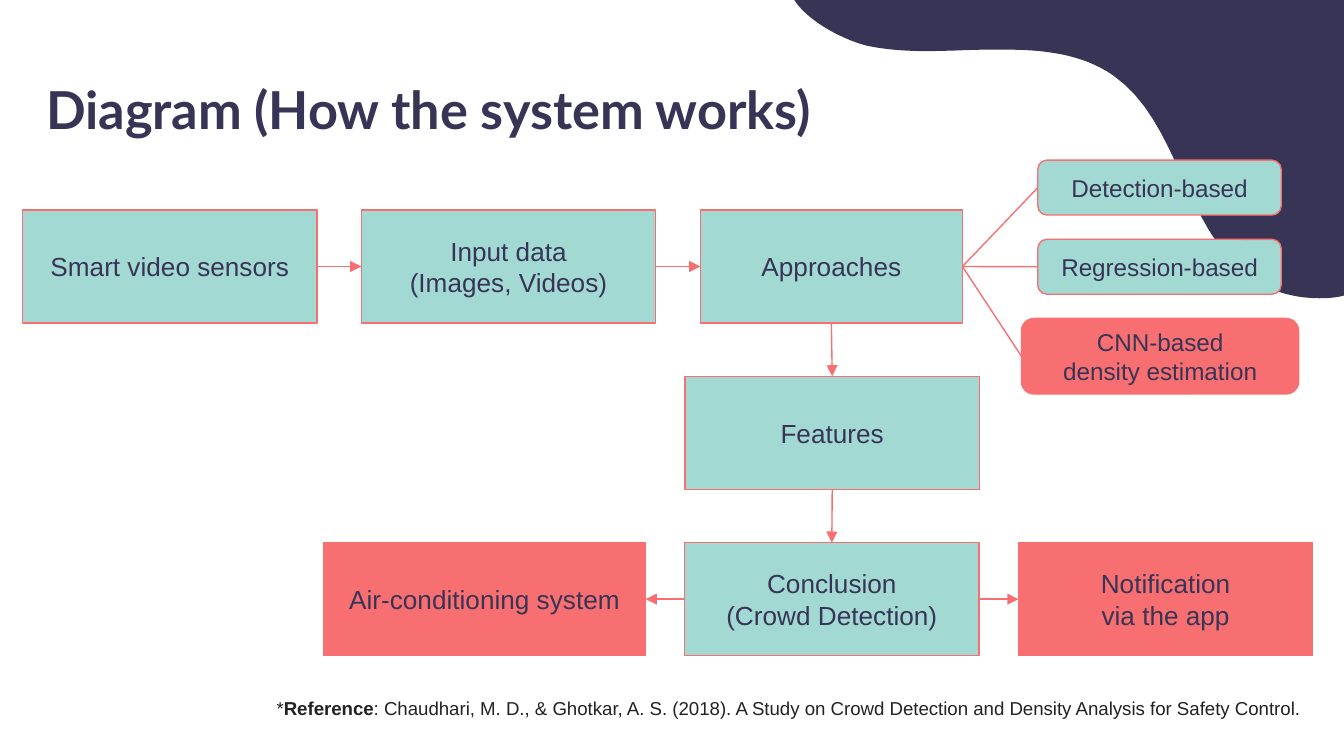
from dataclasses import dataclass
from typing import Optional

from lxml import etree
from pptx import Presentation
from pptx.dml.color import RGBColor
from pptx.enum import shapes, text
from pptx.oxml.ns import qn
from pptx.util import Pt


@dataclass(frozen=True)
class Theme:
    navy: str = "383455"
    teal: str = "A2DAD3"
    coral: str = "F76F70"
    ink: str = "222222"
    title_font: str = "Lato"
    body_font: str = "Arial"
    title_size: float = 28
    box_size: float = 14
    pill_size: float = 13
    note_size: float = 10
    line_width: float = 0.75
    inset: float = 7.2


@dataclass(frozen=True)
class Node:
    name: str
    lines: tuple[str, ...]
    left: float
    top: float
    width: float = 157.7
    height: float = 60.6
    fill: str = Theme.teal
    rounded: bool = False


@dataclass(frozen=True)
class Link:
    start: str
    start_side: int
    end: str
    end_side: int
    arrow: bool = True


@dataclass(frozen=True)
class Span:
    words: str
    bold: bool = False


Point = tuple[float, float]
THEME = Theme()
TOP, LEFT, BOTTOM, RIGHT = range(4)
ROW_1, ROW_2, ROW_3 = (112.5 + 89.1 * row for row in range(3))
PILL_1, PILL_2, PILL_3 = (85.8 + 42.4 * row for row in range(3))

NODES = (
    Node("input", ("Input data", "(Images, Videos)"), 193.6, ROW_1),
    Node("sensors", ("Smart video sensors",), 12.2, ROW_1),
    Node("approaches", ("Approaches",), 375.2, ROW_1, width=140.4),
    Node("detection", ("Detection-based",), 556, PILL_1, 130.4, 29.4, rounded=True),
    Node("regression", ("Regression-based",), 556, PILL_2, 130.4, 29.4, rounded=True),
    Node("cnn", ("CNN-based", "density estimation"), 547.2, PILL_3, 148.5, 40.5,
         THEME.coral, rounded=True),
    Node("features", ("Features",), 367, ROW_2),
    Node("conclusion", ("Conclusion", "(Crowd Detection)"), 366.8, ROW_3),
    Node("notification", ("Notification", "via the app"), 545.6, ROW_3, fill=THEME.coral),
    Node("cooling", ("Air-conditioning system",), 173.3, ROW_3, width=172.6,
         fill=THEME.coral),
)

LINKS = (
    Link("approaches", RIGHT, "detection", LEFT, arrow=False),
    Link("approaches", RIGHT, "regression", LEFT, arrow=False),
    Link("approaches", RIGHT, "cnn", LEFT, arrow=False),
    Link("sensors", RIGHT, "input", LEFT),
    Link("input", RIGHT, "approaches", LEFT),
    Link("approaches", BOTTOM, "features", TOP),
    Link("features", BOTTOM, "conclusion", TOP),
    Link("conclusion", RIGHT, "notification", LEFT),
    Link("conclusion", LEFT, "cooling", RIGHT),
)

WAVE_START: Point = (720, 158.4)
WAVE_CURVES: tuple[tuple[Point, Point, Point], ...] = (
    ((715.7, 159.5), (711.4, 159.8), (707, 159.8)),
    ((693.4, 159.8), (679.7, 156.2), (668.9, 147.6)),
    ((633.6, 121.7), (632.2, 65.5), (596.2, 40.3)),
    ((579.6, 28.8), (558.7, 26.6), (538.6, 26.6)),
    ((536.4, 26.6), (533.5, 26.6), (531.4, 26.6)),
    ((519.8, 26.6), (507.6, 27.4), (496.1, 27.4)),
    ((485.3, 27.4), (474.5, 26.6), (464.4, 24.5)),
    ((452.9, 21.6), (433.4, 12.2), (425.5, 0)),
)


def colour(code: str) -> RGBColor:
    return RGBColor.from_string(code)


def curve_points(start: Point, curve: tuple[Point, Point, Point], steps: int = 16) -> list[Point]:
    corners = (start, *curve)
    points = []
    for step in range(1, steps + 1):
        t = step / steps
        weights = ((1 - t) ** 3, 3 * t * (1 - t) ** 2, 3 * t**2 * (1 - t), t**3)
        points.append(tuple(sum(w * corner[axis] for w, corner in zip(weights, corners))
                            for axis in range(2)))
    return points


def draw_wave(page) -> None:
    points = [WAVE_START]
    for curve in WAVE_CURVES:
        points += curve_points(points[-1], curve)
    builder = page.shapes.build_freeform(Pt(720), 0, scale=1.0)
    builder.add_line_segments([(Pt(x), Pt(y)) for x, y in points], close=True)
    wave = builder.convert_to_shape()
    wave.shadow.inherit = False
    wave.fill.solid()
    wave.fill.fore_color.rgb = colour(THEME.navy)
    wave.line.fill.background()


def write(box, lines: tuple[tuple[Span, ...], ...], size: float, ink: str, font: str,
          align: Optional[text.PP_ALIGN] = None,
          anchor: text.MSO_ANCHOR = text.MSO_ANCHOR.TOP) -> None:
    frame = box.text_frame
    frame.word_wrap = True
    frame.vertical_anchor = anchor
    frame.margin_left = frame.margin_right = Pt(THEME.inset)
    frame.margin_top = frame.margin_bottom = Pt(THEME.inset)
    for index, spans in enumerate(lines):
        para = frame.add_paragraph() if index else frame.paragraphs[0]
        para.alignment = align
        for span in spans:
            run = para.add_run()
            run.text = span.words
            run.font.name = font
            run.font.size = Pt(size)
            run.font.bold = span.bold
            run.font.color.rgb = colour(ink)


def draw_node(page, node: Node):
    kind = shapes.MSO_SHAPE.ROUNDED_RECTANGLE if node.rounded else shapes.MSO_SHAPE.RECTANGLE
    box = page.shapes.add_shape(kind, Pt(node.left), Pt(node.top), Pt(node.width), Pt(node.height))
    box.shadow.inherit = False
    box.fill.solid()
    box.fill.fore_color.rgb = colour(node.fill)
    box.line.color.rgb = colour(THEME.coral)
    box.line.width = Pt(THEME.line_width)
    size = THEME.pill_size if node.rounded else THEME.box_size
    write(box, tuple((Span(line),) for line in node.lines), size, THEME.navy, THEME.body_font,
          text.PP_ALIGN.CENTER, text.MSO_ANCHOR.MIDDLE)
    return box


def draw_link(page, link: Link, boxes: dict) -> None:
    line = page.shapes.add_connector(shapes.MSO_CONNECTOR.STRAIGHT, 0, 0, 0, 0)
    line.begin_connect(boxes[link.start], link.start_side)
    line.end_connect(boxes[link.end], link.end_side)
    line.line.color.rgb = colour(THEME.coral)
    line.line.width = Pt(THEME.line_width)
    if link.arrow:
        etree.SubElement(line.line._get_or_add_ln(), qn("a:tailEnd"), type="triangle")
    etree.SubElement(line._element.spPr, qn("a:effectLst"))


def main() -> None:
    deck = Presentation()
    deck.slide_width, deck.slide_height = Pt(720), Pt(405)
    page = deck.slides.add_slide(deck.slide_layouts[6])

    draw_wave(page)
    title = page.shapes.add_textbox(Pt(17.6), Pt(34), Pt(671), Pt(45.4))
    write(title, ((Span("Diagram (How the system works)", True),),),
          THEME.title_size, THEME.navy, THEME.title_font)

    boxes = {node.name: draw_node(page, node) for node in NODES}
    for link in LINKS:
        draw_link(page, link, boxes)

    reference = page.shapes.add_textbox(Pt(141.1), Pt(367.2), Pt(568), Pt(27.4))
    write(reference, ((Span("*"), Span("Reference", True), Span(
        ": Chaudhari, M. D., & Ghotkar, A. S. (2018). A Study on Crowd Detection "
        "and Density Analysis for Safety Control.")),),
        THEME.note_size, THEME.ink, THEME.body_font)

    deck.save("out.pptx")


if __name__ == "__main__":
    main()
